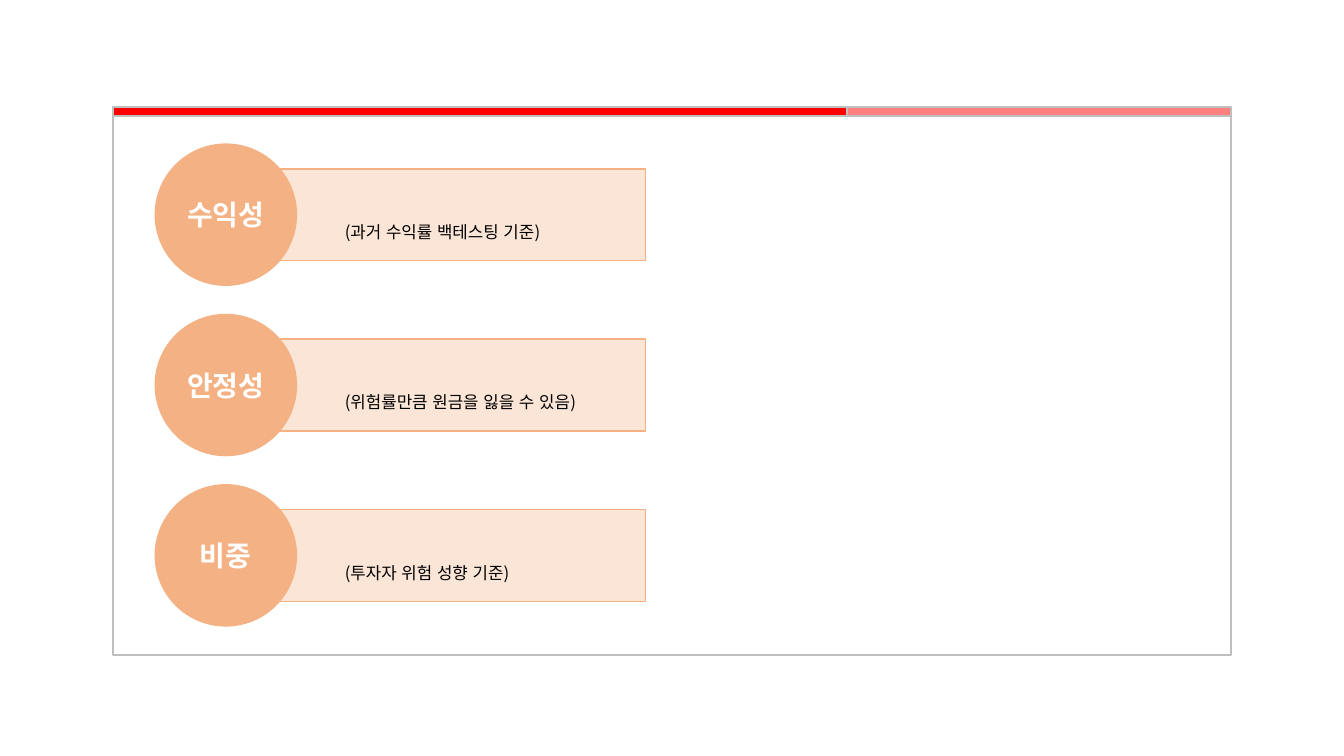
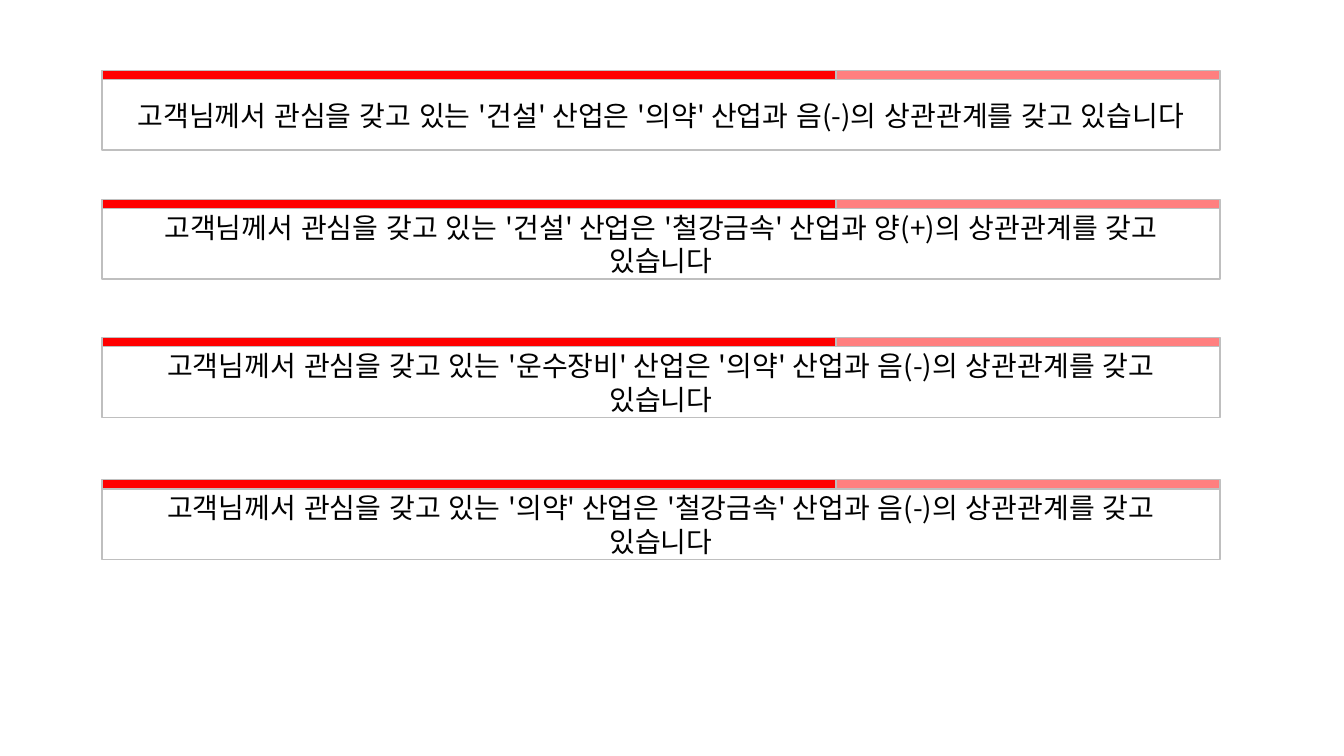
"""Build two slides: investment criteria and industry correlations."""
from lxml import etree
from pptx import Presentation, util as u
from pptx.dml.color import RGBColor
from pptx.enum import lang, shapes, text
from pptx.oxml.ns import qn

FONT = "Noto Sans CJK KR"
RED, GREY, WHITE, BLACK = "FF0000", "BFBFBF", "FFFFFF", "000000"
ORANGE, PEACH = "F4B183", "FBE5D6"

CRITERIA = [
    ("수익성", "(과거 수익률 백테스팅 기준)"),
    ("안정성", "(위험률만큼 원금을 잃을 수 있음)"),
    ("비중", "(투자자 위험 성향 기준)"),
]
SENTENCE = "고객님께서 관심을 갖고 있는 '{}' 산업은 '{}' 산업과 {}의 상관관계를 갖고 있습니다"
CORRELATIONS = [
    (0.7, "건설", "의약", "음(-)"),
    (1.98, "건설", "철강금속", "양(+)"),
    (3.35, "운수장비", "의약", "음(-)"),
    (4.76, "의약", "철강금속", "음(-)"),
]

PANEL_W, BAND_H, STRONG_W = 11.09, 0.09, 7.28
CIRCLE_LEFT, CIRCLE_TOP, CIRCLE, PITCH = 1.54, 1.43, 1.4, 1.69
BAR_W, BAR_H = 4.16, 0.91
NOTE_INDENT, NOTE_DROP = 1.18, 0.39


def color(value):
    return RGBColor.from_string(value)


def block(parent, kind, box, fill, line, alpha=None):
    part = parent.add_shape(kind, *map(u.Inches, box))
    part.shadow.inherit = False
    part.fill.solid()
    part.fill.fore_color.rgb = color(fill)
    part.line.color.rgb = color(line)
    part.line.width = u.Pt(1)
    if alpha:
        tone = part.fill._xPr.find(qn("a:solidFill"))[0]
        etree.SubElement(tone, qn("a:alpha"), val=str(alpha * 1000))
    return part


def write(part, words, size, tone, bold=False, align=text.PP_ALIGN.CENTER):
    frame = part.text_frame
    frame.word_wrap = True
    frame.vertical_anchor = text.MSO_ANCHOR.MIDDLE
    paragraph = frame.paragraphs[0]
    paragraph.text = words
    paragraph.alignment = align
    font = paragraph.font
    font.name, font.size, font.bold = FONT, u.Pt(size), bold
    font.color.rgb = color(tone)
    font.language_id = lang.MSO_LANGUAGE_ID.KOREAN
    etree.SubElement(font._element, qn("a:ea"), typeface=FONT)
    return frame


def panel(slide, left, top, body_h):
    group = slide.shapes.add_group_shape().shapes
    rect = shapes.MSO_SHAPE.RECTANGLE
    body = block(group, rect, (left, top + BAND_H, PANEL_W, body_h), WHITE, GREY)
    block(group, rect, (left, top, STRONG_W, BAND_H), RED, GREY)
    block(group, rect, (left + STRONG_W, top, PANEL_W - STRONG_W, BAND_H), RED, GREY, 50)
    return body


def criterion(slide, row, label, note):
    group = slide.shapes.add_group_shape().shapes
    top = CIRCLE_TOP + row * PITCH
    bar_box = (CIRCLE_LEFT + CIRCLE / 2, top + (CIRCLE - BAR_H) / 2, BAR_W, BAR_H)
    bar = block(group, shapes.MSO_SHAPE.RECTANGLE, bar_box, PEACH, ORANGE)
    frame = write(bar, note, 12, BLACK, align=text.PP_ALIGN.LEFT)
    frame.margin_left, frame.margin_top = u.Inches(NOTE_INDENT), u.Inches(NOTE_DROP)
    circle_box = (CIRCLE_LEFT, top, CIRCLE, CIRCLE)
    circle = block(group, shapes.MSO_SHAPE.OVAL, circle_box, ORANGE, ORANGE)
    write(circle, label, 20, WHITE, bold=True)


deck = Presentation()
deck.slide_width, deck.slide_height = u.Inches(13.33), u.Inches(7.5)
blank = deck.slide_layouts[6]

criteria = deck.slides.add_slide(blank)
panel(criteria, 1.12, 1.06, 5.35)
for row, (label, note) in enumerate(CRITERIA):
    criterion(criteria, row, label, note)

correlations = deck.slides.add_slide(blank)
for top, *terms in CORRELATIONS:
    write(panel(correlations, 1.01, top, 0.7), SENTENCE.format(*terms), 20, BLACK)

deck.save("out.pptx")
